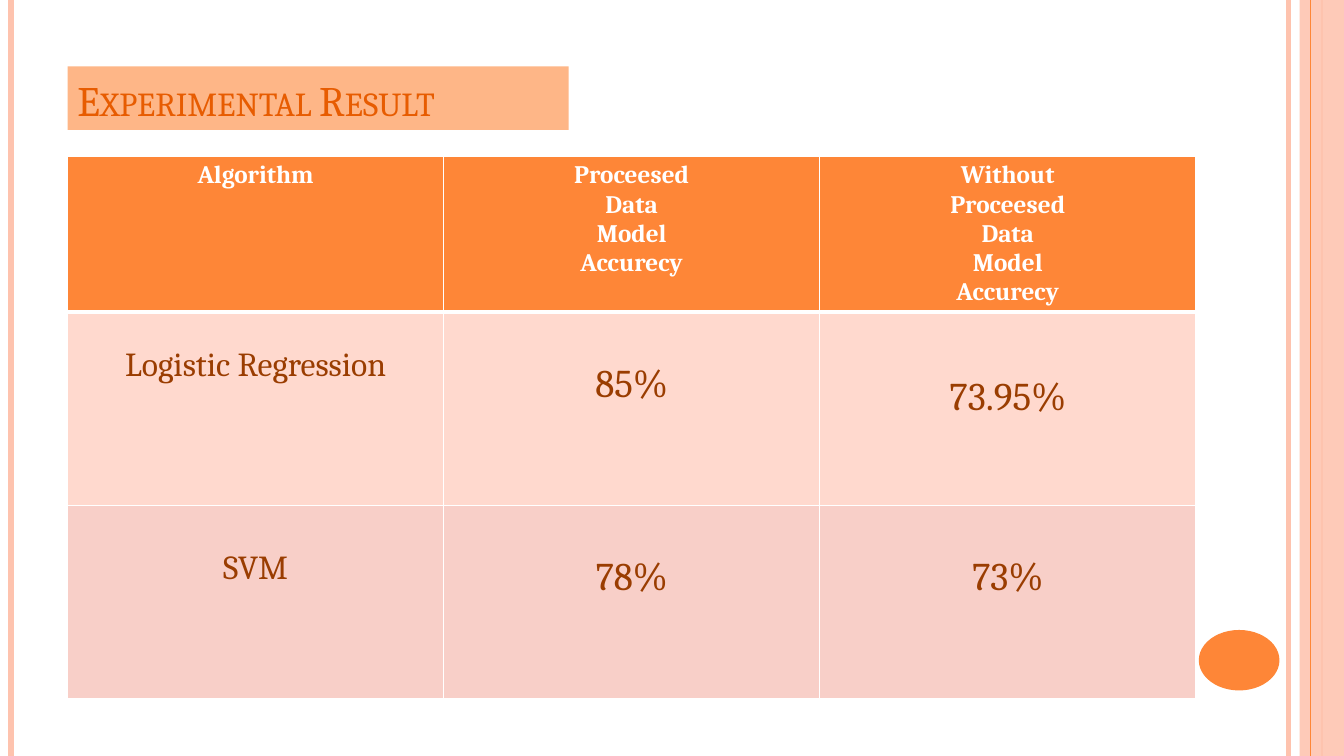
"""Build the experimental result slide with its accuracy table."""
from lxml import etree
from pptx import Presentation
from pptx.dml.color import RGBColor
from pptx.enum.shapes import MSO_CONNECTOR, MSO_SHAPE
from pptx.enum.text import MSO_ANCHOR, PP_ALIGN
from pptx.oxml.ns import qn
from pptx.util import Inches, Pt

STRAIGHT = MSO_CONNECTOR.STRAIGHT
RECT, OVAL = MSO_SHAPE.RECTANGLE, MSO_SHAPE.OVAL
BOTTOM = MSO_ANCHOR.BOTTOM
LEFT, CENTER = PP_ALIGN.LEFT, PP_ALIGN.CENTER
WHITE = RGBColor(0xFF, 0xFF, 0xFF)
ORANGE = RGBColor(0xFE, 0x86, 0x37)
PEACH = RGBColor(0xFE, 0xC3, 0xAE)
TITLE_FILL = RGBColor(0xFE, 0xB6, 0x87)
TITLE_TEXT = RGBColor(0xE7, 0x5C, 0x01)
BROWN = RGBColor(0x9A, 0x3D, 0x01)
ROW_FILLS = [ORANGE, RGBColor(0xFF, 0xD9, 0xCE), RGBColor(0xF8, 0xCF, 0xC8)]
FONT = "Cambria"

prs = Presentation()
prs.slide_width, prs.slide_height = Inches(13.33), Inches(7.5)
s = prs.slides.add_slide(prs.slide_layouts[6])


def add_block(shape_type, left, top, width, height, color, alpha=100):
    sp = s.shapes.add_shape(shape_type, Inches(left), Inches(top), Inches(width), Inches(height))
    sp.shadow.inherit = False
    sp.fill.solid()
    sp.fill.fore_color.rgb = color
    sp.line.fill.background()
    if alpha < 100:
        clr = sp.fill._xPr.find(qn("a:solidFill"))[0]
        etree.SubElement(clr, qn("a:alpha")).set("val", str(alpha * 1000))
    return sp


add_block(RECT, 12.89, 0, 0.44, 7.5, PEACH, 87)
for x, color, width in [(0.11, PEACH, 4.5), (12.78, PEACH, 3), (13, ORANGE, 0.75), (13.11, PEACH, 1.5)]:
    line = s.shapes.add_connector(STRAIGHT, Inches(x), 0, Inches(x), prs.slide_height)
    line.line.color.rgb = color
    line.line.width = Pt(width)
    etree.SubElement(line._element.spPr, qn("a:effectLst"))
add_block(OVAL, 11.89, 6.25, 0.8, 0.6, ORANGE)

title = add_block(RECT, 0.67, 0.66, 4.97, 0.63, TITLE_FILL)
tf = title.text_frame
tf.text = "Experimental Result"
tf.vertical_anchor = BOTTOM
p = tf.paragraphs[0]
p.alignment = LEFT
font = p.runs[0].font
font.name, font.size, font.color.rgb = FONT, Pt(30), TITLE_TEXT
font._element.set("cap", "small")

rows = [
    [("Algorithm", 18, 0.05),
     ("Proceesed\nData\nModel\nAccurecy", 18, 0.05),
     ("Without\nProceesed\nData\nModel\nAccurecy", 18, 0.05)],
    [("Logistic Regression", 24, 0.34), ("85%", 28, 0.5), ("73.95%", 28, 0.63)],
    [("SVM", 24, 0.44), ("78%", 28, 0.5), ("73%", 28, 0.5)],
]
table = s.shapes.add_table(3, 3, Inches(0.67), Inches(1.55), Inches(11.19), Inches(5.37)).table
table.horz_banding = False
for column in table.columns:
    column.width = Inches(3.73)
for row, height in zip(table.rows, [1.53, 1.92, 1.92]):
    row.height = Inches(height)

for i, row in enumerate(rows):
    for j, (text, size, top) in enumerate(row):
        cell = table.cell(i, j)
        cell.margin_top = Inches(top)
        cell.text_frame.text = text
        for p in cell.text_frame.paragraphs:
            p.alignment = CENTER
            font = p.runs[0].font
            font.name, font.size, font.bold = FONT, Pt(size), i == 0
            font.color.rgb = BROWN if i else WHITE
        tcPr = cell._tc.get_or_add_tcPr()
        for side in ("lnL", "lnR", "lnT", "lnB"):
            thick = (i, side) in [(0, "lnB"), (1, "lnT")]
            ln = etree.SubElement(tcPr, qn("a:" + side), w=str(Pt(3 if thick else 1)))
            fill = etree.SubElement(ln, qn("a:solidFill"))
            etree.SubElement(fill, qn("a:srgbClr"), val=str(WHITE))
        cell.fill.solid()
        cell.fill.fore_color.rgb = ROW_FILLS[i]

prs.save("out.pptx")
